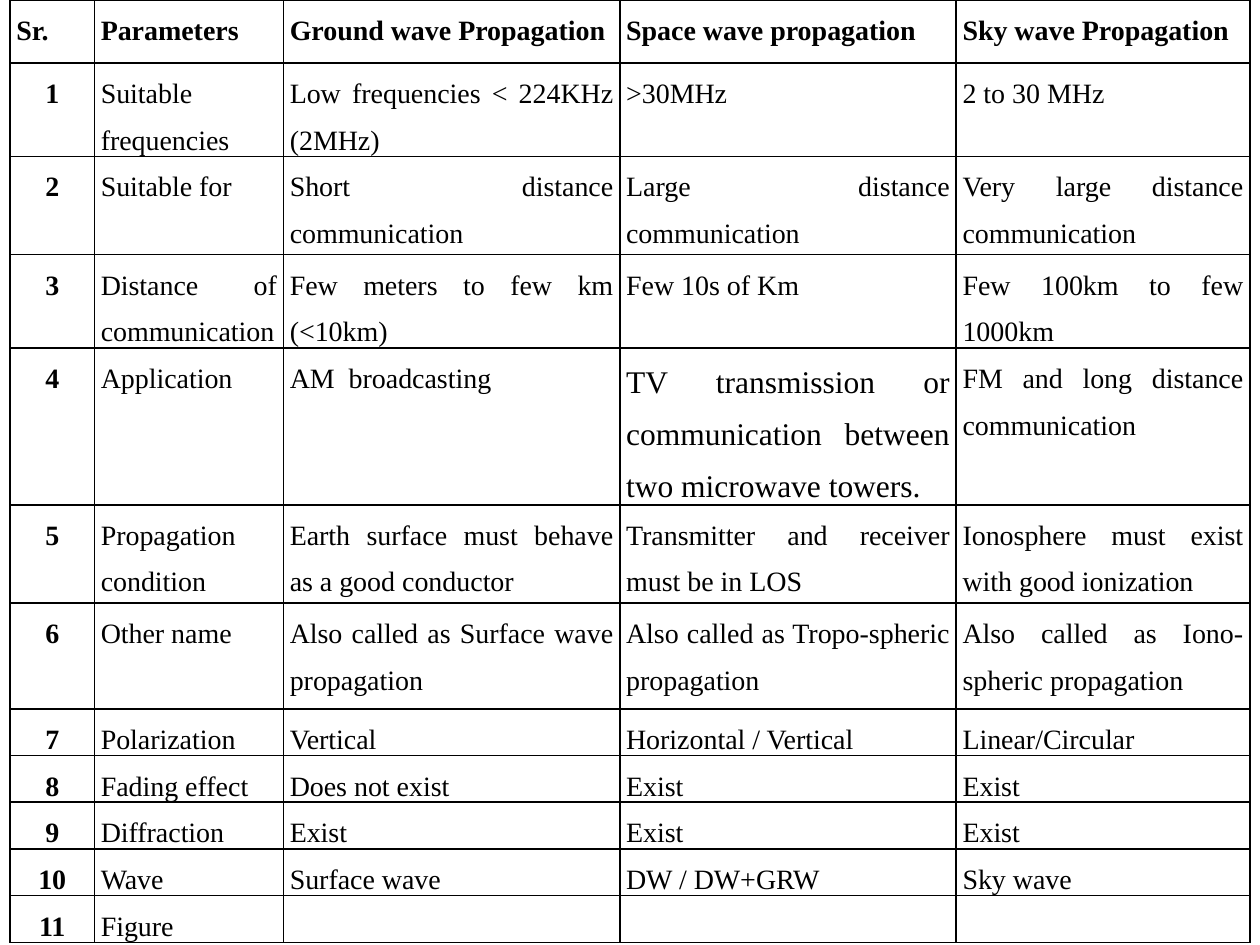
from lxml.etree import SubElement
from pptx import Presentation
from pptx.dml.color import RGBColor
from pptx.enum.text import PP_ALIGN
from pptx.oxml.ns import qn
from pptx.util import Inches, Pt

BLACK = RGBColor(0x00, 0x00, 0x00)

COLUMN_WIDTHS = [0.67, 1.5, 2.67, 2.67, 2.33]
ROW_HEIGHTS = [0.5, 0.68, 0.78, 0.68, 0.34, 0.78, 0.84, 0.32] + [0.34] * 4

HEADINGS = [
    "Sr.",
    "Parameters",
    "Ground wave Propagation",
    "Space wave propagation",
    "Sky wave Propagation",
]
COMPARISONS = [
    ["Suitable frequencies", "Low frequencies < 224KHz (2MHz)", ">30MHz", "2 to 30 MHz"],
    ["Suitable for", "Short distance communication", "Large distance communication",
     "Very large distance communication"],
    ["Distance of communication", "Few meters to few km (<10km)", "Few 10s of Km",
     "Few 100km to few 1000km"],
    ["Application", "AM  broadcasting",
     "TV transmission or communication between two microwave towers.",
     "FM and long distance communication"],
    ["Propagation condition", "Earth surface must behave as a good conductor",
     "Transmitter and receiver must be in LOS",
     "Ionosphere must exist with good ionization"],
    ["Other name", "Also called as Surface wave propagation",
     "Also called as Tropo-spheric propagation",
     "Also called as Iono-spheric propagation"],
    ["Polarization", "Vertical", "Horizontal / Vertical", "Linear/Circular"],
    ["Fading effect", "Does not exist", "Exist", "Exist"],
    ["Diffraction", "Exist", "Exist", "Exist"],
    ["Wave", "Surface wave", "DW / DW+GRW", "Sky wave"],
    ["Figure", "", "", ""],
]
LARGE_TEXT_CELL = (4, 3)


class SlideBuilder:
    font = "Times New Roman"
    text_size = 16
    large_size = 18
    line_spacing = 1.5
    color = BLACK
    border_width = 1
    side_margin = 0.05

    def __init__(self, slide):
        self.slide = slide

    def table(self, left, top, widths, heights, rows):
        table = self.slide.shapes.add_table(
            len(heights), len(widths), Inches(left), Inches(top),
            Inches(sum(widths)), Inches(sum(heights))).table
        table.first_row = False
        table.horz_banding = False
        for column, width in zip(table.columns, widths):
            column.width = Inches(width)
        for row, height in zip(table.rows, heights):
            row.height = Inches(height)
        for r, row in enumerate(rows):
            for c, wording in enumerate(row):
                self.cell(
                    table.cell(r, c), wording,
                    size=self.large_size if (r, c) == LARGE_TEXT_CELL else self.text_size,
                    bold=r == 0 or c == 0,
                    align=PP_ALIGN.CENTER if c == 0 and r > 0 else PP_ALIGN.JUSTIFY)

    def cell(self, cell, wording, size, bold, align):
        cell.margin_left = cell.margin_right = Inches(self.side_margin)
        cell.margin_top = cell.margin_bottom = 0
        self.borders(cell)
        cell.fill.background()
        if wording:
            paragraph = cell.text_frame.paragraphs[0]
            paragraph.alignment = align
            paragraph.line_spacing = self.line_spacing
            run = paragraph.add_run()
            run.text = wording
            run.font.name = self.font
            run.font.size = Pt(size)
            run.font.bold = bold
            run.font.color.rgb = self.color

    def borders(self, cell):
        properties = cell._tc.get_or_add_tcPr()
        for side in ("a:lnL", "a:lnR", "a:lnT", "a:lnB"):
            line = SubElement(properties, qn(side), w=str(Pt(self.border_width)))
            fill = SubElement(line, qn("a:solidFill"))
            SubElement(fill, qn("a:srgbClr"), val=str(self.color))


def main():
    presentation = Presentation()
    presentation.slide_width = Inches(10)
    presentation.slide_height = Inches(7.5)
    builder = SlideBuilder(presentation.slides.add_slide(presentation.slide_layouts[6]))
    numbered = [[str(number), *row] for number, row in enumerate(COMPARISONS, 1)]
    builder.table(0.08, 0, COLUMN_WIDTHS, ROW_HEIGHTS, [HEADINGS, *numbered])
    presentation.save("out.pptx")


if __name__ == "__main__":
    main()
